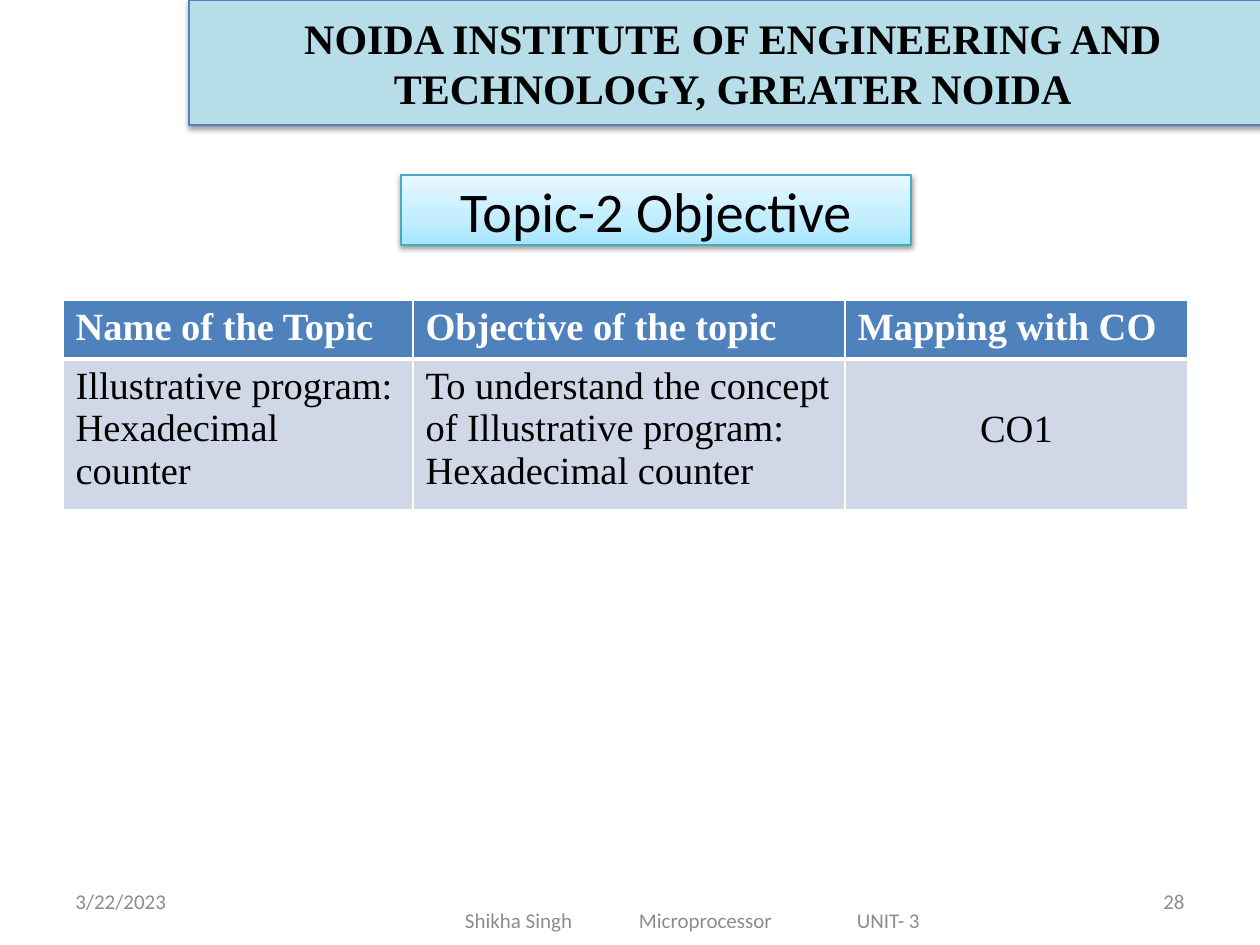
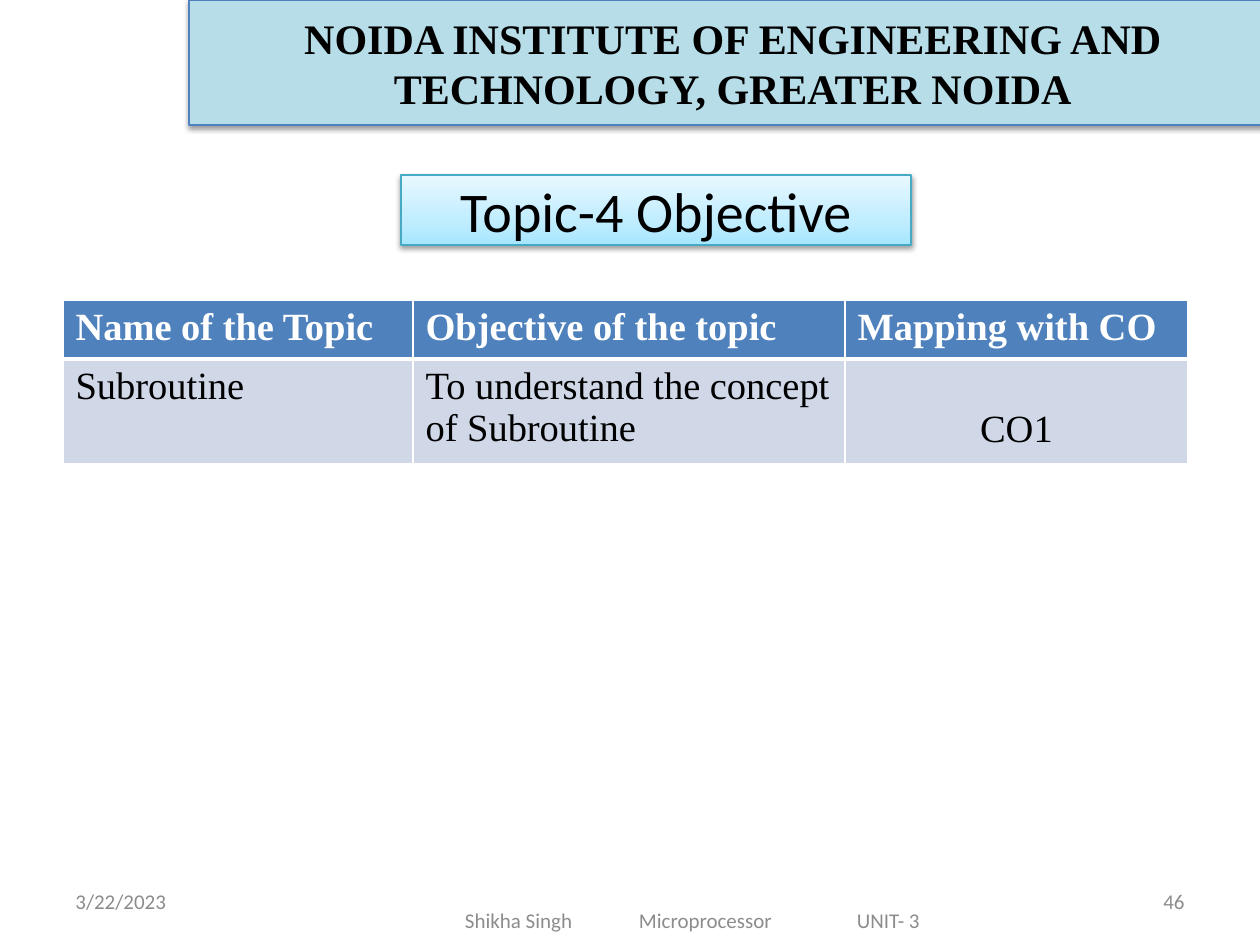
from lxml import etree
from pptx import Presentation
from pptx.dml.color import RGBColor
from pptx.enum.shapes import MSO_SHAPE
from pptx.enum.text import MSO_ANCHOR, MSO_AUTO_SIZE, PP_ALIGN
from pptx.oxml import parse_xml
from pptx.oxml.ns import qn
from pptx.util import Pt

RECT = MSO_SHAPE.RECTANGLE
MIDDLE = MSO_ANCHOR.MIDDLE
NO_FIT = MSO_AUTO_SIZE.NONE
LEFT, CENTER, RIGHT = PP_ALIGN.LEFT, PP_ALIGN.CENTER, PP_ALIGN.RIGHT

NS = 'xmlns:a="http://schemas.openxmlformats.org/drawingml/2006/main"'
SANS, SERIF = "Calibri", "Times New Roman"
BLACK, WHITE, GRAY = "000000", "FFFFFF", "8C8C8C"
BAND, BLUE, PALE, TEAL = "B7DEE8", "4F81BD", "D0D8E8", "46AAC5"
GLOW = [(0, "A7E6FF"), (35, "C1EDFF"), (100, "E7F8FF")]

SCHOOL = "NOIDA INSTITUTE OF ENGINEERING AND TECHNOLOGY, GREATER NOIDA"
DATE = "3/22/2023"
FOOTER = "Shikha Singh\tMicroprocessor\tUNIT- 3"
HEADS = ["Name of the Topic", "Objective of the topic", "Mapping with CO"]
WIDTHS = [350, 432, 343]
LINE, PAD = 43, 6
TOPICS = [
    ("Topic-2 Objective", "28", 3,
     ["Illustrative program: Hexadecimal counter",
      "To understand the concept of Illustrative program: Hexadecimal counter",
      "CO1"]),
    ("Topic-4 Objective", "46", 2,
     ["Subroutine", "To understand the concept of Subroutine", "CO1"]),
]


def px(n):
    """Turn pixels into EMU."""
    return round(n * 914400 / 126)


def color(code):
    """Turn a hex string into a colour."""
    return RGBColor.from_string(code)


def place(shape, box):
    """Move a shape to a box of left, top, width and height."""
    shape.left, shape.top, shape.width, shape.height = map(px, box)


def write(frame, text, size, face, code, align=LEFT, bold=False):
    """Put one formatted paragraph into a text frame."""
    frame.text = text
    frame.word_wrap = True
    para = frame.paragraphs[0]
    para.alignment = align
    for run in para.runs:
        font = run.font
        font.size, font.name, font.bold = Pt(size), face, bold
        font.color.rgb = color(code)


def edge(shape, code):
    """Outline a shape and give it a soft shadow below."""
    shape.line.color.rgb = color(code)
    shape.line.width = Pt(0.75)
    shape.shadow.inherit = False
    effects = shape._element.spPr.find(qn("a:effectLst"))
    effects.append(parse_xml(
        f'<a:outerShdw {NS} blurRad="40000" dist="20000" dir="5400000" rotWithShape="0">'
        f'<a:srgbClr val="{BLACK}"><a:alpha val="38000"/></a:srgbClr></a:outerShdw>'))


def banner(slide, box):
    """Format the title as the school's band."""
    title = slide.shapes.title
    place(title, box)
    title.fill.solid()
    title.fill.fore_color.rgb = color(BAND)
    edge(title, BLUE)
    frame = title.text_frame
    write(frame, SCHOOL, 24, SERIF, BLACK, CENTER, True)
    frame.auto_size = NO_FIT
    frame.vertical_anchor = MIDDLE
    frame.margin_right = 0


def plate(slide, box, text):
    """Draw the shaded plate that names the topic."""
    shape = slide.shapes.add_shape(RECT, *map(px, box))
    shape.fill.background()
    props = shape._element.spPr
    stops = "".join(f'<a:gs pos="{pos * 1000}"><a:srgbClr val="{code}"/></a:gs>'
                    for pos, code in GLOW)
    props.replace(props.find(qn("a:noFill")), parse_xml(
        f'<a:gradFill {NS} rotWithShape="1"><a:gsLst>{stops}</a:gsLst>'
        '<a:lin ang="16200000" scaled="1"/></a:gradFill>'))
    edge(shape, TEAL)
    write(shape.text_frame, text, 32, SANS, BLACK, CENTER)
    shape.text_frame.vertical_anchor = MIDDLE


def border(cell, sides):
    """Draw white cell borders, given as side and width pairs."""
    props = cell._tc.get_or_add_tcPr()
    for spot, (side, width) in enumerate(sides):
        props.insert(spot, parse_xml(
            f'<a:ln{side} {NS} w="{Pt(width)}"><a:solidFill>'
            f'<a:srgbClr val="{WHITE}"/></a:solidFill></a:ln{side}>'))


def grid(slide, box, cells, lines):
    """Draw the objective table, its body row as tall as its lines."""
    left, top = box
    tall = [LINE + 2 * PAD, lines * LINE + 2 * PAD - 2]
    table = slide.shapes.add_table(
        2, len(HEADS), px(left), px(top), px(sum(WIDTHS)), px(sum(tall))).table
    table.horz_banding = False
    for col, width in zip(table.columns, WIDTHS):
        col.width = px(width)
    for row, height in zip(table.rows, tall):
        row.height = px(height)
    for r, texts in enumerate((HEADS, cells)):
        for c, text in enumerate(texts):
            cell = table.cell(r, c)
            cell.fill.solid()
            cell.fill.fore_color.rgb = color(PALE if r else BLUE)
            mapped = r == 1 and c == 2
            write(cell.text_frame, text, 22, SERIF, BLACK if r else WHITE,
                  CENTER if mapped else LEFT, r == 0)
            if mapped:
                cell.margin_top = px(PAD + LINE)
            border(cell, [("L", 1), ("R", 1), ("T", 3 if r else 1), ("B", 1 if r else 3)])


def label(slide, box, text, align=LEFT):
    """Add one small grey footer text and return its frame."""
    frame = slide.shapes.add_textbox(*map(px, box)).text_frame
    write(frame, text, 12, SANS, GRAY, align)
    frame.vertical_anchor = MIDDLE
    return frame


def footer(slide, box, page):
    """Place date, course line and page number along the foot."""
    left, top, width, height = box
    part = 294
    label(slide, (left, top, part, height), DATE)
    label(slide, (left + width - part, top, part, height), page, RIGHT)
    frame = label(slide, (left + 283, top + 19, 693, height), FOOTER)
    frame.margin_left = px(119)
    props = frame.paragraphs[0]._p.get_or_add_pPr()
    tabs = etree.SubElement(props, qn("a:tabLst"))
    for stop in (174, 392):
        etree.SubElement(tabs, qn("a:tab"), pos=str(px(stop)), algn="l")


def topic(deck, name, page, lines, cells):
    """Build one topic slide."""
    slide = deck.slides.add_slide(deck.slide_layouts[5])
    footer(slide, (63, 876, 1134, 50), page)
    plate(slide, (401, 175, 510, 70), name)
    banner(slide, (189, 0, 1075, 125))
    grid(slide, (63, 300), cells, lines)


def main():
    """Build and save the deck."""
    deck = Presentation()
    deck.slide_width, deck.slide_height = px(1260), px(945)
    for item in TOPICS:
        topic(deck, *item)
    deck.save("out.pptx")


if __name__ == "__main__":
    main()
